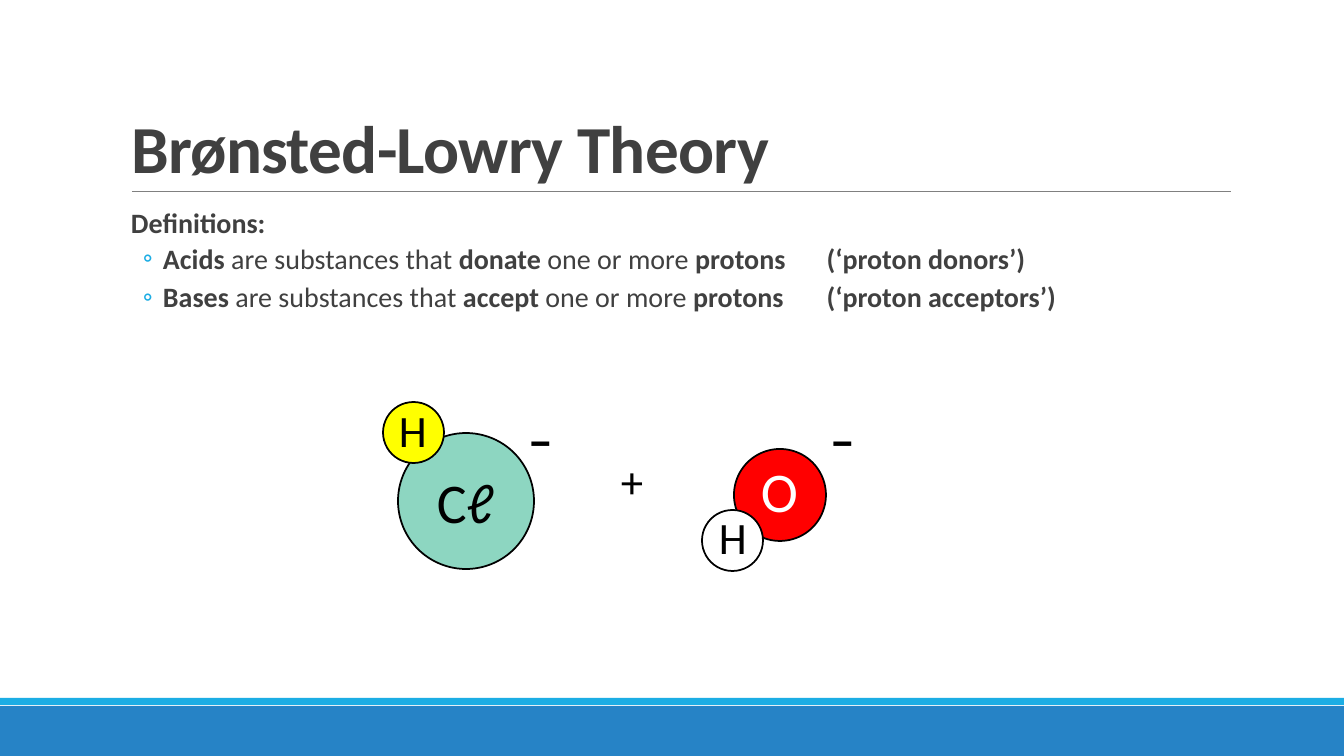
from lxml import etree
from pptx import Presentation
from pptx import util as u
from pptx.dml.color import RGBColor
from pptx.enum import shapes, text
from pptx.oxml.ns import qn

PX = 914400 / 100.8
COLORS = {
    "blue": "2683C6", "cyan": "1CADE4", "rule": "808080", "text": "404040",
    "black": "000000", "white": "FFFFFF", "chlorine": "8DD6C1",
    "oxygen": "FF0000", "proton": "FFFF00",
}


def px(*lengths):
    return [u.Emu(round(n * PX)) for n in lengths]


def add_run(p, words, size, color, bold=False):
    r = p.add_run()
    r.text = words
    r.font.name = "Calibri"
    r.font.size = u.Pt(size)
    r.font.bold = bold
    r.font.color.rgb = RGBColor.from_string(COLORS[color])
    return r


prs = Presentation()
prs.slide_width, prs.slide_height = px(1344, 756)
slide = prs.slides.add_slide(prs.slide_layouts[1])

for top, height, color in [(706, 50, "blue"), (698, 7, "cyan")]:
    sp = slide.shapes.add_shape(shapes.MSO_SHAPE.RECTANGLE, *px(0, top, 1344, height))
    sp.shadow.inherit = False
    sp.fill.solid()
    sp.fill.fore_color.rgb = RGBColor.from_string(COLORS[color])
    sp.line.fill.background()

rule = slide.shapes.add_connector(shapes.MSO_CONNECTOR.STRAIGHT, *px(132, 191, 1231, 191))
rule.line.color.rgb = RGBColor.from_string(COLORS["rule"])
rule.line.width = u.Pt(0.5)
etree.SubElement(rule._element.spPr, qn("a:effectLst"))

title = slide.shapes.title
title.left, title.top, title.width, title.height = px(121, 31, 1109, 161)
tf = title.text_frame
tf.auto_size = text.MSO_AUTO_SIZE.NONE
tf.vertical_anchor = text.MSO_ANCHOR.BOTTOM
p = tf.paragraphs[0]
p.alignment = text.PP_ALIGN.LEFT
p.line_spacing = 0.85
r = add_run(p, "Brønsted-Lowry Theory", 48, "text", True)
r.font._element.set("spc", "-50")

body = slide.placeholders[1]
body.left, body.top, body.width, body.height = px(121, 204, 1109, 128)
tf = body.text_frame
tf.auto_size = text.MSO_AUTO_SIZE.NONE
tf.margin_left = tf.margin_right = 0
definitions = [
    (0, [("Definitions:", True)]),
    (1, [("Acids ", True), ("are substances that ", False), ("donate", True),
         (" one or more ", False), ("protons\t(‘proton donors’)", True)]),
    (1, [("Bases", True), (" are substances that ", False), ("accept ", True),
         ("one or more ", False), ("protons\t(‘proton acceptors’)", True)]),
]
for i, (level, runs) in enumerate(definitions):
    p = tf.paragraphs[0] if i == 0 else tf.add_paragraph()
    p.level = level
    p.line_spacing = 0.9
    p.space_before = u.Pt(2 * level)
    p.space_after = u.Pt(2 + 2 * level)
    margin, indent = px(42, -20) if level else px(10, 0)
    pPr = p._p.get_or_add_pPr()
    pPr.set("marL", str(margin))
    pPr.set("indent", str(indent))
    if level:
        color = etree.SubElement(pPr, qn("a:buClr"))
        etree.SubElement(color, qn("a:srgbClr"), val=COLORS["cyan"])
        etree.SubElement(pPr, qn("a:buFont"), typeface="Calibri")
        etree.SubElement(pPr, qn("a:buChar"), char="◦")
    else:
        etree.SubElement(pPr, qn("a:buNone"))
    for words, bold in runs:
        add_run(p, words, 20, "text", bold)

atoms = [
    (398, 433, 136, "chlorine", ("Cℓ", 427, 463, 86, 78, 40, "black", False)),
    (734, 449, 92, "oxygen", ("O", 751, 452, 86, 78, 40, "white", False)),
    (383, 402, 61, "proton", ("H", 389, 398, 49, 65, 32, "black", False)),
    (702, 510, 61, "white", ("H", 709, 505, 44, 65, 32, "black", False)),
]
signs = [
    ("+", 611, 449, 86, 65, 32, "black", False),
    ("–", 518, 403, 60, 72, 36, "black", True),
    ("–", 820, 403, 60, 72, 36, "black", True),
]
labels = []
for left, top, size, color, label in atoms:
    sp = slide.shapes.add_shape(shapes.MSO_SHAPE.OVAL, *px(left, top, size, size))
    sp.shadow.inherit = False
    sp.fill.solid()
    sp.fill.fore_color.rgb = RGBColor.from_string(COLORS[color])
    sp.line.color.rgb = RGBColor.from_string(COLORS["black"])
    sp.line.width = u.Pt(1.25)
    labels.append(label)

for words, left, top, width, height, size, color, bold in labels + signs:
    tf = slide.shapes.add_textbox(*px(left, top, width, height)).text_frame
    tf.word_wrap = True
    add_run(tf.paragraphs[0], words, size, color, bold)

prs.save("out.pptx")
